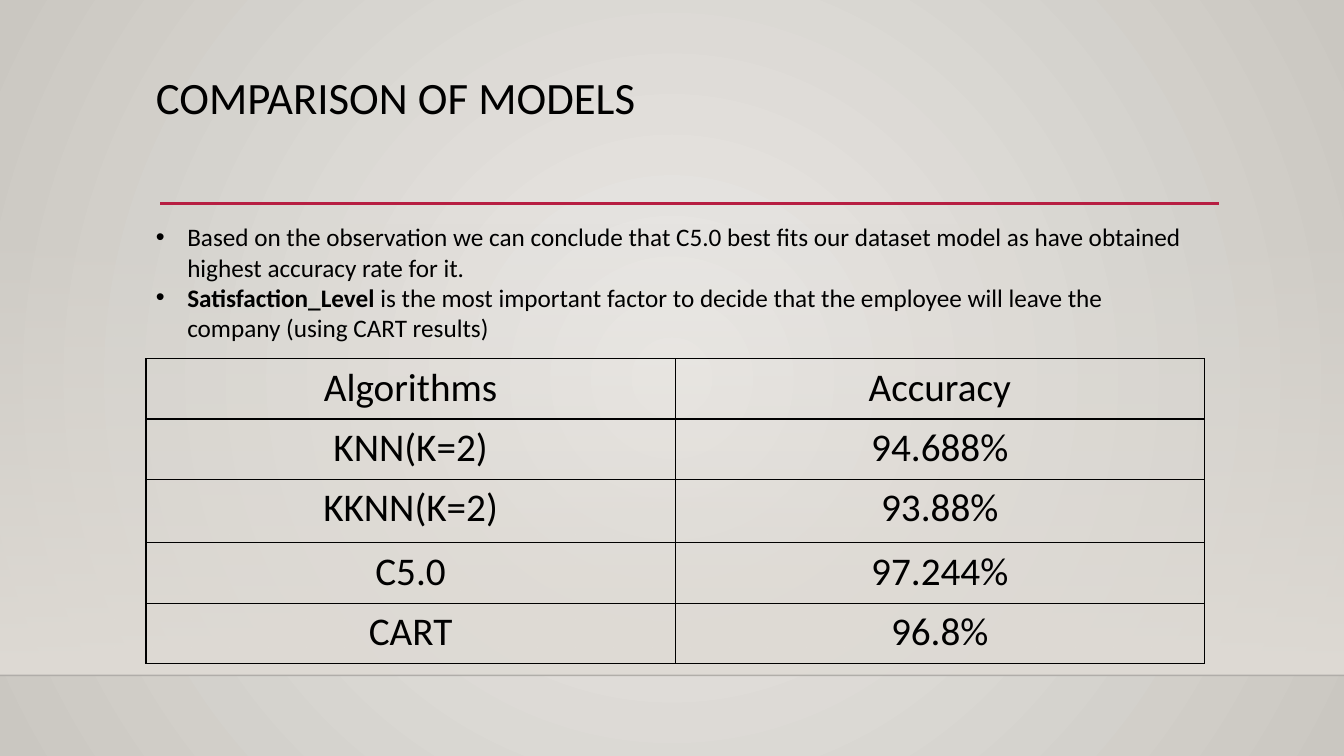
from dataclasses import dataclass

from pptx import Presentation
from pptx.dml.color import RGBColor
from pptx.enum.shapes import MSO_CONNECTOR, MSO_SHAPE
from pptx.enum.text import MSO_ANCHOR, MSO_AUTO_SIZE, PP_ALIGN
from pptx.oxml import parse_xml
from pptx.oxml.ns import nsdecls, qn
from pptx.util import Cm, Pt

STRAIGHT = MSO_CONNECTOR.STRAIGHT
RECTANGLE = MSO_SHAPE.RECTANGLE
TOP = MSO_ANCHOR.TOP
CENTER = PP_ALIGN.CENTER
GROW = MSO_AUTO_SIZE.SHAPE_TO_FIT_TEXT


@dataclass(frozen=True)
class Theme:
    font: str = "Calibri"
    ink: str = "000000"
    accent: str = "B71E42"
    floor: str = "000001"
    haze: str = "DFDBD5"
    glow: str = "ECEAE7"
    edge: str = "CAC7C1"
    title_size: int = 32
    table_size: int = 28
    body_size: int = 18


THEME = Theme()
WIDTH, HEIGHT = Cm(33.87), Cm(19.05)
LEFT, CONTENT_WIDTH = Cm(3.68), Cm(26.67)

BULLETS = [
    [("Based on the observation we can conclude that C5.0 best fits our dataset "
      "model as have obtained highest accuracy rate for it.", False)],
    [("Satisfaction_Level", True),
     (" is the most important factor to decide that the employee will leave the "
      "company (using CART results)", False)],
]
ACCURACIES = [
    ("Algorithms", "Accuracy"),
    ("KNN(K=2)", "94.688%"),
    ("KKNN(K=2)", "93.88%"),
    ("C5.0", "97.244%"),
    ("CART", "96.8%"),
]
ROW_HEIGHTS = [Cm(1.52), Cm(1.52), Cm(1.6), Cm(1.52), Cm(1.52)]


def set_gradient(properties, start, end, direction, start_alpha=100):
    """Replace the solid fill in a properties element by a two-stop gradient."""
    gradient = parse_xml(
        f'<a:gradFill {nsdecls("a")} rotWithShape="1"><a:gsLst>'
        f'<a:gs pos="0"><a:srgbClr val="{start}">'
        f'<a:alpha val="{start_alpha * 1000}"/></a:srgbClr></a:gs>'
        f'<a:gs pos="100000"><a:srgbClr val="{end}"/></a:gs>'
        f'</a:gsLst>{direction}</a:gradFill>')
    solid = properties.find(qn("a:solidFill"))
    properties.replace(solid, gradient)


def add_run(paragraph, text, size, bold=False):
    run = paragraph.add_run()
    run.text = text
    run.font.name = THEME.font
    run.font.size = Pt(size)
    run.font.bold = bold
    run.font.color.rgb = RGBColor.from_string(THEME.ink)


def add_rule(slide, left, top, width, color, weight, alpha=100):
    rule = slide.shapes.add_connector(STRAIGHT, left, top, left + width, top)
    rule.line.color.rgb = RGBColor.from_string(color)
    rule.line.width = Pt(weight)
    properties = rule._element.spPr
    shade = properties.find(".//" + qn("a:srgbClr"))
    shade.append(parse_xml(f'<a:alpha {nsdecls("a")} val="{alpha * 1000}"/>'))
    properties.append(parse_xml(f'<a:effectLst {nsdecls("a")}/>'))


def add_text_frame(slide, left, top, width, height):
    frame = slide.shapes.add_textbox(left, top, width, height).text_frame
    frame.word_wrap = True
    frame.vertical_anchor = TOP
    return frame


def add_backdrop(slide, floor_top):
    slide.background.fill.solid()
    set_gradient(slide._element.find(".//" + qn("p:bgPr")), THEME.glow, THEME.edge,
                 '<a:path path="circle">'
                 '<a:fillToRect l="50000" t="50000" r="50000" b="50000"/></a:path>')
    haze_top = Cm(5.61)
    haze = slide.shapes.add_shape(RECTANGLE, 0, haze_top, WIDTH, floor_top - haze_top)
    haze.shadow.inherit = False
    haze.line.fill.background()
    haze.fill.solid()
    set_gradient(haze._element.spPr, THEME.haze, THEME.haze,
                 '<a:lin ang="5400000" scaled="0"/>', start_alpha=0)
    add_rule(slide, 0, floor_top, WIDTH, THEME.floor, 1, alpha=20)


def add_heading(slide, left, top, width, height):
    heading = add_text_frame(slide, left, top, width, height).paragraphs[0]
    heading.line_spacing = 0.9
    add_run(heading, "COMPARISON OF MODELS", THEME.title_size)
    add_rule(slide, left + Cm(0.36), top + Cm(3.35), width, THEME.accent, 2.5)


def add_findings(slide, left, top, width, height):
    frame = add_text_frame(slide, left, top, width, height)
    frame.auto_size = GROW
    for index, finding in enumerate(BULLETS):
        paragraph = frame.add_paragraph() if index else frame.paragraphs[0]
        properties = paragraph._p.get_or_add_pPr()
        properties.set("marL", str(Cm(0.79)))
        properties.set("indent", str(-Cm(0.79)))
        properties.append(parse_xml(f'<a:buFont {nsdecls("a")} typeface="Arial"/>'))
        properties.append(parse_xml(f'<a:buChar {nsdecls("a")} char="•"/>'))
        for text, bold in finding:
            add_run(paragraph, text, THEME.body_size, bold)


def set_borders(cell):
    properties = cell._tc.get_or_add_tcPr()
    for position, side in enumerate(("lnL", "lnR", "lnT", "lnB")):
        properties.insert(position, parse_xml(
            f'<a:{side} {nsdecls("a")} w="{Pt(1)}"><a:solidFill>'
            f'<a:srgbClr val="{THEME.ink}"/></a:solidFill></a:{side}>'))


def add_accuracy_table(slide, left, top, width):
    columns = len(ACCURACIES[0])
    table = slide.shapes.add_table(
        len(ACCURACIES), columns, left, top, width, sum(ROW_HEIGHTS)).table
    table.first_row = False
    table.horz_banding = False
    for column in table.columns:
        column.width = width // columns
    for row, height, values in zip(table.rows, ROW_HEIGHTS, ACCURACIES):
        row.height = height
        for cell, value in zip(row.cells, values):
            cell.fill.background()
            set_borders(cell)
            paragraph = cell.text_frame.paragraphs[0]
            paragraph.alignment = CENTER
            add_run(paragraph, value, THEME.table_size)


def main():
    deck = Presentation()
    deck.slide_width, deck.slide_height = WIDTH, HEIGHT
    slide = deck.slides.add_slide(deck.slide_layouts[6])
    add_backdrop(slide, floor_top=Cm(17.02))
    add_heading(slide, LEFT, Cm(1.78), CONTENT_WIDTH, Cm(2.92))
    add_accuracy_table(slide, LEFT, Cm(9.04), CONTENT_WIDTH)
    add_findings(slide, LEFT, Cm(5.46), CONTENT_WIDTH, Cm(3.33))
    deck.save("out.pptx")


if __name__ == "__main__":
    main()
